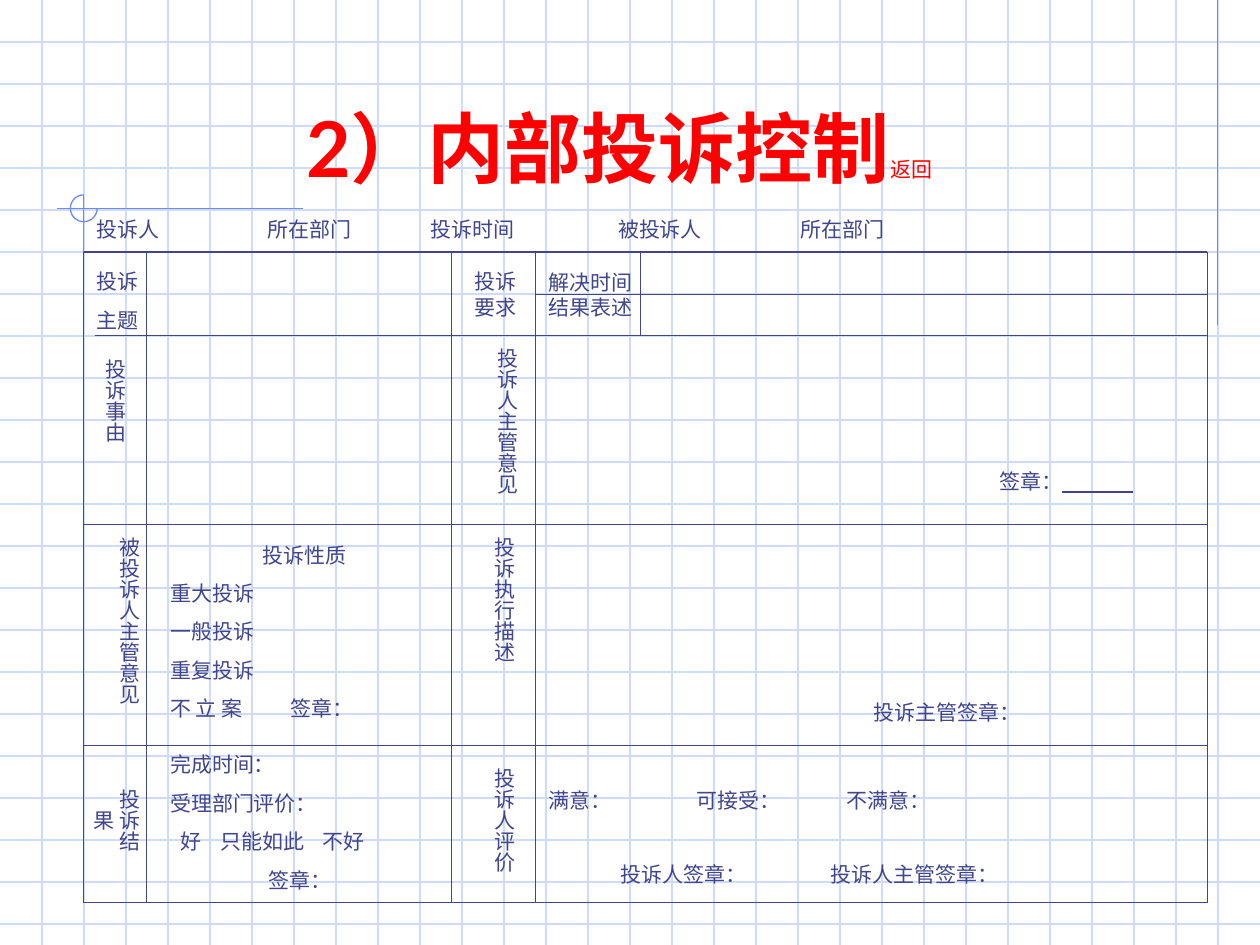
import math

import pptx
import pptx.dml.color
import pptx.enum.shapes
import pptx.enum.text
import pptx.oxml.ns
import pptx.util
from lxml import etree

Cm = pptx.util.Cm
Pt = pptx.util.Pt
RGBColor = pptx.dml.color.RGBColor
PP_ALIGN = pptx.enum.text.PP_ALIGN
AUTO_SIZE = pptx.enum.text.MSO_AUTO_SIZE
qn = pptx.oxml.ns.qn

GRID_BLUE = RGBColor(0xCF, 0xDB, 0xFD)
ACCENT_BLUE = RGBColor(0x6F, 0x89, 0xF7)
FORM_INK = RGBColor(0x40, 0x45, 0x8C)
TITLE_RED = RGBColor(0xFF, 0x00, 0x00)

# All lengths in centimetres
WIDTH, HEIGHT = 25.4, 19.05
GRID_STEP = 2.54 / 3
LEFT, RIGHT = 1.69, 24.34
TOP, REQUEST, REASON, NATURE, RESULT, BOTTOM = 5.08, 5.93, 6.77, 10.58, 15.03, 18.2
LABEL_END, MIDDLE, OPINION, DETAIL = 2.96, 9.1, 10.8, 12.91

BODY = {"size": Pt(12), "name": "Lato"}
SERIF = {"size": Pt(12), "name": "Times New Roman"}
HEADLINE = {"size": Pt(44), "name": "Lato", "bold": True}
BACK_LINK = {"size": Pt(12), "name": "Lato", "bold": False}


def add_line(slide, x1, y1, x2, y2, color):
    line = slide.shapes.add_connector(
        pptx.enum.shapes.MSO_CONNECTOR.STRAIGHT, Cm(x1), Cm(y1), Cm(x2), Cm(y2))
    line.line.color.rgb = color
    line.line.width = Pt(0.75)
    etree.SubElement(line._element.spPr, qn("a:effectLst"))


def add_box(slide, left, top, width, height, margins=(0.25, 0.13),
            auto_size=AUTO_SIZE.SHAPE_TO_FIT_TEXT):
    frame = slide.shapes.add_textbox(Cm(left), Cm(top), Cm(width), Cm(height)).text_frame
    side, end = (Cm(margin) for margin in margins)
    settings = {"margin_left": side, "margin_right": side, "margin_top": end,
                "margin_bottom": end, "word_wrap": True, "auto_size": auto_size}
    for key, value in settings.items():
        setattr(frame, key, value)
    return frame


def add_run(paragraph, text, style, color=FORM_INK):
    run = paragraph.add_run()
    run.text = text
    for key, value in style.items():
        setattr(run.font, key, value)
    run.font.color.rgb = color


def set_tabs(paragraph, stops):
    if stops:
        tab_list = etree.SubElement(paragraph._p.get_or_add_pPr(), qn("a:tabLst"))
        for stop in stops:
            etree.SubElement(tab_list, qn("a:tab"), pos=str(Cm(stop)), algn="l")


def add_entry(slide, box, lines, style=BODY, gap=7.5):
    """Each line is (text, tab stops, alignment)."""
    frame = add_box(slide, *box)
    for index, (text, stops, align) in enumerate(lines):
        paragraph = frame.add_paragraph() if index else frame.paragraphs[0]
        set_tabs(paragraph, stops)
        paragraph.alignment = align
        if index:
            paragraph.space_before = Pt(gap)
        add_run(paragraph, text, style)


def add_vertical_label(slide, left, top, width, height, text):
    frame = add_box(slide, left, top, width, height, margins=(0.13, 0.25),
                    auto_size=AUTO_SIZE.NONE)
    frame._txBody.bodyPr.set("vert", "eaVert")
    frame.paragraphs[0].alignment = PP_ALIGN.CENTER
    add_run(frame.paragraphs[0], text, BODY)


def plain(*texts):
    return [(text, (), PP_ALIGN.LEFT) for text in texts]


def add_backdrop(slide):
    # Squared paper
    for row in range(1, 23):
        add_line(slide, 0, row * GRID_STEP, WIDTH, row * GRID_STEP, GRID_BLUE)
    for column in range(1, 30):
        add_line(slide, column * GRID_STEP, 0, column * GRID_STEP, HEIGHT, GRID_BLUE)

    # Accent lines and three-quarter ring
    for ends in ((24.55, 0, 24.55, 6.56), (6.1, 4.21, 1.14, 4.21), (LEFT, 3.94, LEFT, 10.39)):
        add_line(slide, *ends, ACCENT_BLUE)
    center_x, center_y, radius = 1.69, 4.2, 0.27
    points = [(Cm(center_x + radius * math.cos(math.radians(angle))),
               Cm(center_y + radius * math.sin(math.radians(angle))))
              for angle in range(0, 271, 6)]
    builder = slide.shapes.build_freeform(*points[0])
    builder.add_line_segments(points[1:], close=False)
    ring = builder.convert_to_shape()
    ring.shadow.inherit = False
    ring.fill.background()
    ring.line.color.rgb = ACCENT_BLUE
    ring.line.width = Pt(0.75)


def add_title(slide):
    frame = add_box(slide, LEFT, 0.85, 21.59, 3.17, auto_size=AUTO_SIZE.NONE)
    frame.vertical_anchor = pptx.enum.text.MSO_ANCHOR.BOTTOM
    title = frame.paragraphs[0]
    title.alignment = PP_ALIGN.CENTER
    add_run(title, "2）内部投诉控制", HEADLINE, TITLE_RED)
    add_run(title, "返回", BACK_LINK, TITLE_RED)


def add_form_rules(slide):
    for start, y in ((LEFT, TOP), (OPINION, REQUEST), (1.91, REASON),
                     (LEFT, NATURE), (LEFT, RESULT), (LEFT, BOTTOM)):
        add_line(slide, start, y, RIGHT, y, FORM_INK)
    for x, end in ((LEFT, BOTTOM), (LABEL_END, BOTTOM), (MIDDLE, BOTTOM),
                   (OPINION, BOTTOM), (DETAIL, REASON), (RIGHT, BOTTOM)):
        add_line(slide, x, TOP, x, end, FORM_INK)


def add_form_text(slide):
    left = PP_ALIGN.LEFT

    # Heading row and subject row
    add_entry(slide, (LEFT, 4.23, 22.23, 0.76),
              [("投诉人\t所在部门\t投诉时间\t被投诉人\t所在部门",
                (3.45, 6.74, 10.52, 14.19), left)], SERIF)
    add_entry(slide, (LEFT, 5.29, 22.86, 1.55), plain("投诉", "主题"), SERIF)
    add_entry(slide, (OPINION, 5.31, 2.4, 1.27), plain("解决时间", "结果表述"), SERIF, gap=0)
    add_entry(slide, (9.31, 5.29, 1.48, 1.27), plain("投诉要求"))

    # Vertical row labels
    for label in ((1.69, 6.98, 1.02, 3.39, "投诉事由"),
                  (9.58, 6.77, 1.02, 3.81, "投诉人主管意见"),
                  (1.96, 10.58, 1.02, 4.45, "被投诉人主管意见"),
                  (9.53, 10.58, 1.02, 4.45, "投诉执行描述"),
                  (1.66, 15.66, 1.32, 2.12, "投诉结果"),
                  (9.53, 15.24, 1.02, 2.96, "投诉人评价")):
        add_vertical_label(slide, *label)

    # Signature with a ruled blank
    add_entry(slide, (19.9, 9.31, 3.39, 0.76), plain("签章："))
    add_line(slide, 21.41, 9.92, 22.84, 9.92, FORM_INK)

    # Nature of the complaint
    add_entry(slide, (3.18, 10.8, 5.93, 3.86),
              [("投诉性质", (), PP_ALIGN.CENTER),
               *plain("重大投诉", "一般投诉", "重复投诉"),
               ("不 立 案\t签章：", (2.42,), left)])
    add_entry(slide, (17.36, 13.97, 6.77, 0.76), plain("投诉主管签章："))

    # Result and ratings
    add_entry(slide, (3.18, 15.03, 5.93, 3.1),
              [*plain("完成时间：", "受理部门评价："),
               ("\t好\t只能如此\t不好", (0.2, 1.02, 3.08), left),
               ("\t签章：", (1.99,), left)])
    add_entry(slide, (OPINION, 15.75, 13.34, 0.76),
              [("满意：\t可接受：\t不满意：", (3.0, 6.02), left)])
    add_entry(slide, (11.01, 17.23, 13.12, 0.76),
              [("\t投诉人签章：\t投诉人主管签章：", (1.25, 5.48), left)])


def main():
    deck = pptx.Presentation()
    deck.slide_width, deck.slide_height = Cm(WIDTH), Cm(HEIGHT)
    slide = deck.slides.add_slide(deck.slide_layouts[6])
    add_backdrop(slide)
    add_title(slide)
    add_form_rules(slide)
    add_form_text(slide)
    deck.save("out.pptx")


if __name__ == "__main__":
    main()
